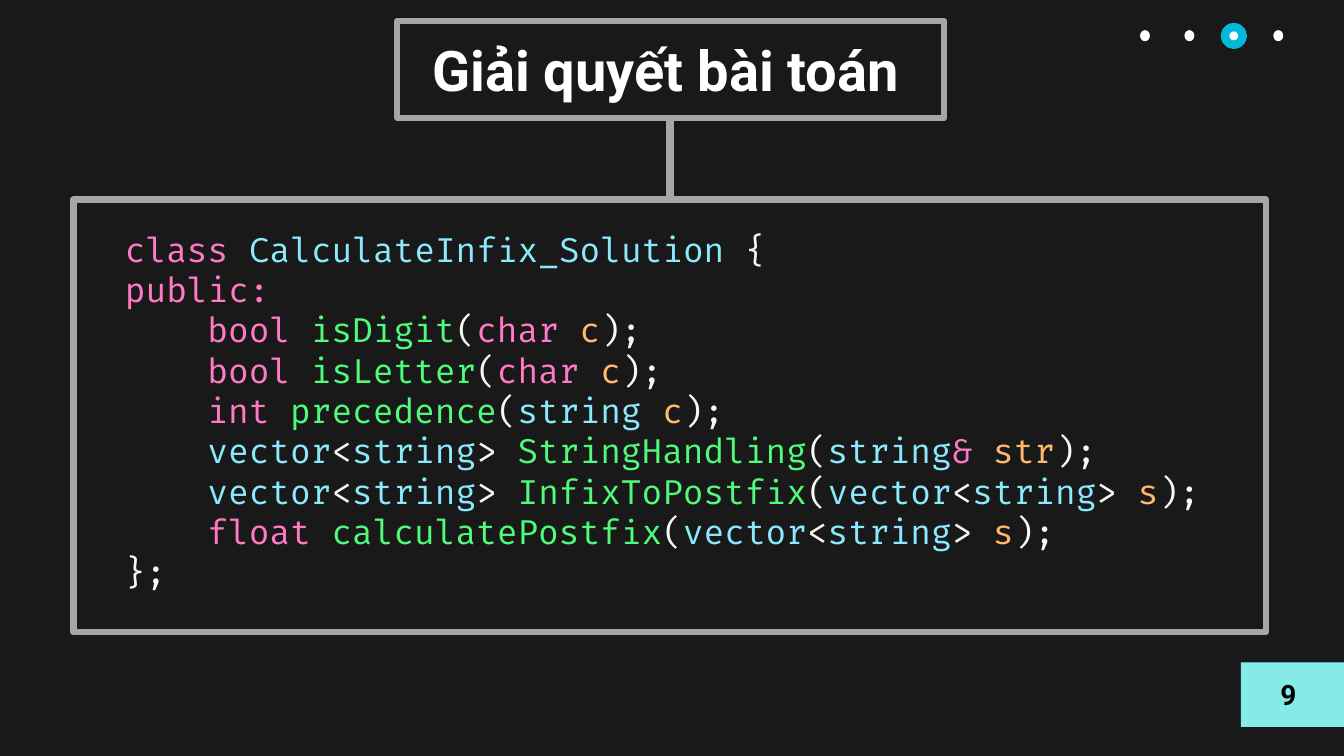
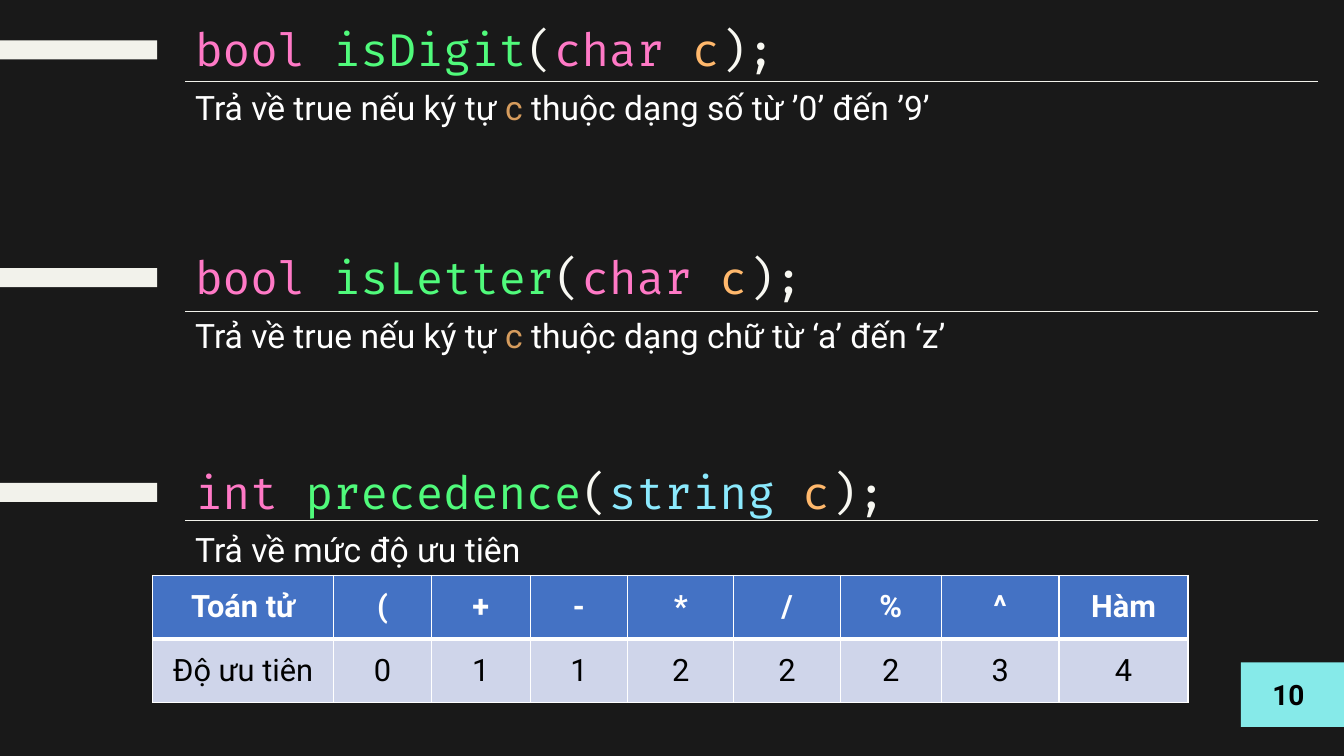
"""Build two dark slides that present the methods of an infix calculator class."""
from lxml import etree
from pptx import Presentation
from pptx.dml.color import RGBColor
from pptx.enum.shapes import MSO_CONNECTOR, MSO_SHAPE
from pptx.enum.text import MSO_ANCHOR, MSO_AUTO_SIZE, PP_ALIGN
from pptx.oxml.ns import qn
from pptx.util import Cm, Pt

RECTANGLE, OVAL, STRAIGHT = MSO_SHAPE.RECTANGLE, MSO_SHAPE.OVAL, MSO_CONNECTOR.STRAIGHT
TOP, MIDDLE = MSO_ANCHOR.TOP, MSO_ANCHOR.MIDDLE
LEFT, CENTER = PP_ALIGN.LEFT, PP_ALIGN.CENTER
NO_AUTOFIT = MSO_AUTO_SIZE.NONE
TITLE_ONLY, BLANK = 5, 6

COLORS = {
    "background": "191919", "white": "FFFFFF", "black": "000000",
    "frame": "A6A6A6", "ring": "01B9D9", "badge": "86EAE9", "bar": "F2F2EB",
    "keyword": "FF79C6", "type": "8BE9FD", "function": "50FA7B",
    "parameter": "FFB86C", "plain": "F8F8F2", "mention": "D69C5D",
    "header": "4472C4", "body": "CFD5EA",
}
STYLES = {
    "title": {"name": "Roboto", "size": Pt(40), "bold": True},
    "code": {"name": "Fira Code", "size": Pt(24), "bold": False},
    "signature": {"name": "Fira Code", "size": Pt(32), "bold": False},
    "description": {"name": "Roboto", "size": Pt(24), "bold": False},
    "page": {"name": "Roboto", "size": Pt(20), "bold": True},
    "header": {"name": "Roboto", "size": Pt(22), "bold": True},
    "body": {"name": "Roboto", "size": Pt(22), "bold": False},
}
CELL_FORMAT = {
    "vertical_anchor": MIDDLE, "margin_left": Cm(0.3), "margin_right": Cm(0.3),
    "margin_top": Cm(0.15), "margin_bottom": Cm(0.15),
}


def method(returns, name, arguments):
    """Return the coloured runs of one method declaration."""
    return [*returns, (name, "function"), ("(", "plain"), *arguments, (");", "plain")]


VECTOR = [("vector", "type"), ("<", "plain"), ("string", "type"), ("> ", "plain")]
CHAR_C = [("char ", "keyword"), ("c", "parameter")]
VECTOR_S = [*VECTOR, ("s", "parameter")]
IS_DIGIT = method([("bool ", "keyword")], "isDigit", CHAR_C)
IS_LETTER = method([("bool ", "keyword")], "isLetter", CHAR_C)
PRECEDENCE = method([("int ", "keyword")], "precedence",
                    [("string ", "type"), ("c", "parameter")])
METHODS = [
    IS_DIGIT,
    IS_LETTER,
    PRECEDENCE,
    method(VECTOR, "StringHandling",
           [("string", "type"), ("& ", "keyword"), ("str", "parameter")]),
    method(VECTOR, "InfixToPostfix", VECTOR_S),
    method([("float ", "keyword")], "calculatePostfix", VECTOR_S),
]
CLASS_OPENING = [
    [("class ", "keyword"), ("CalculateInfix_Solution ", "type"), ("{", "plain")],
    [("public:", "keyword")],
]
CLASS_CLOSING = [[("};", "plain")]]

TITLE = "Giải quyết bài toán"
DOT_COUNT, CURRENT_DOT = 4, 2
RETURNS_TRUE = [("Trả về true nếu ký tự ", "white"), ("c ", "mention")]
SECTIONS = [
    {"top": 0.43, "rule": 2.06, "signature": IS_DIGIT,
     "description": [*RETURNS_TRUE, ("thuộc dạng số từ ’0’ đến ’9’", "white")]},
    {"top": 6.17, "rule": 7.85, "signature": IS_LETTER,
     "description": [*RETURNS_TRUE, ("thuộc dạng chữ từ ‘a’ đến ‘z’", "white")]},
    {"top": 11.58, "rule": 13.11, "signature": PRECEDENCE,
     "description": [("Trả về mức độ ưu tiên", "white")]},
]
PRIORITIES = [
    ("Toán tử", "(", "+", "-", "*", "/", "%", "^", "Hàm"),
    ("Độ ưu tiên", "0", "1", "1", "2", "2", "2", "3", "4"),
]
PRIORITY_WIDTHS = [4.57, 2.46, 2.49, 2.46, 2.67, 2.69, 2.54, 2.97, 3.25]
PRIORITY_ROW = 1.6
PRIORITY_ROLES = [("header", "white", 3), ("body", "black", 1)]


def rgb(role):
    """Return the colour of a role."""
    return RGBColor.from_string(COLORS[role])


def apply(target, values):
    """Set every attribute in values on the target."""
    for attribute, value in values.items():
        setattr(target, attribute, value)


def write(paragraph, runs, style, align=LEFT):
    """Write coloured runs into a paragraph."""
    paragraph.alignment = align
    for text, role in runs:
        run = paragraph.add_run()
        run.text = text
        apply(run.font, STYLES[style])
        run.font.color.rgb = rgb(role)


def add_text(slide, box, lines, style):
    """Add a wrapped text box with one paragraph per line and return its frame."""
    frame = slide.shapes.add_textbox(*map(Cm, box)).text_frame
    frame.word_wrap = True
    for index, runs in enumerate(lines):
        paragraph = frame.add_paragraph() if index else frame.paragraphs[0]
        write(paragraph, runs, style)
    return frame


def add_block(slide, kind, box, fill=None, outline=None, weight=0):
    """Add a flat preset shape with an optional fill and outline."""
    block = slide.shapes.add_shape(kind, *map(Cm, box))
    block.shadow.inherit = False
    if fill:
        block.fill.solid()
        block.fill.fore_color.rgb = rgb(fill)
    else:
        block.fill.background()
    if outline:
        block.line.color.rgb = rgb(outline)
        block.line.width = Pt(weight)
    else:
        block.line.fill.background()
    return block


def add_line(slide, ends, role, weight):
    """Add a straight line without a shadow."""
    line = slide.shapes.add_connector(STRAIGHT, *map(Cm, ends))
    line.line.color.rgb = rgb(role)
    line.line.width = Pt(weight)
    etree.SubElement(line._element.spPr, qn("a:effectLst"))


def add_page_number(slide, number):
    """Add the page badge at the right edge."""
    frame = add_block(slide, RECTANGLE, (31.27, 16.69, 2.6, 1.63), "badge").text_frame
    apply(frame, {"margin_left": 0, "margin_right": Cm(0.2), "vertical_anchor": MIDDLE})
    write(frame.paragraphs[0], [(str(number), "black")], "page", CENTER)


def add_border(cell, edge, weight):
    """Add a white border to one edge of a cell."""
    properties = cell._tc.get_or_add_tcPr()
    border = etree.SubElement(properties, qn(f"a:ln{edge}"), w=str(Pt(weight)))
    fill = etree.SubElement(border, qn("a:solidFill"))
    etree.SubElement(fill, qn("a:srgbClr"), val=COLORS["white"])


def add_priorities(slide):
    """Add the table of operator priorities."""
    size = (sum(PRIORITY_WIDTHS), PRIORITY_ROW * len(PRIORITIES))
    table = slide.shapes.add_table(
        len(PRIORITIES), len(PRIORITY_WIDTHS), *map(Cm, (3.84, 14.5, *size))).table
    for column, width in zip(table.columns, PRIORITY_WIDTHS):
        column.width = Cm(width)
    top_weight = 1
    for row, texts, (role, ink, bottom_weight) in zip(table.rows, PRIORITIES, PRIORITY_ROLES):
        row.height = Cm(PRIORITY_ROW)
        for cell, text in zip(row.cells, texts):
            apply(cell, CELL_FORMAT)
            for edge, weight in zip("LRTB", (1, 1, top_weight, bottom_weight)):
                add_border(cell, edge, weight)
            cell.fill.solid()
            cell.fill.fore_color.rgb = rgb(role)
            write(cell.text_frame.paragraphs[0], [(text, ink)], role, CENTER)
        top_weight = bottom_weight


def build_class_slide(prs):
    """Build the slide with the class declaration."""
    slide = prs.slides.add_slide(prs.slide_layouts[TITLE_ONLY])
    title = slide.shapes.title
    apply(title, dict(zip(("left", "top", "width", "height"),
                          map(Cm, (10.64, 0.76, 12.6, 1.96)))))
    apply(title.text_frame, {"vertical_anchor": TOP, "auto_size": NO_AUTOFIT})
    write(title.text_frame.paragraphs[0], [(TITLE, "white")], "title")

    code = add_text(slide, (2.9, 5.64, 28.09, 9.5),
                    CLASS_OPENING + METHODS + CLASS_CLOSING, "code")
    first = len(CLASS_OPENING)
    for paragraph in code.paragraphs[first:first + len(METHODS)]:
        paragraph._p.get_or_add_pPr().set("marL", str(Cm(2.08)))

    for box in ((1.85, 5.03, 30.05, 10.9), (10.01, 0.53, 13.79, 2.44)):
        add_block(slide, RECTANGLE, box, outline="frame", weight=4.5)
    add_line(slide, (16.89, 2.97, 16.89, 5.03), "frame", 6)

    for index in range(DOT_COUNT):
        left = 28.73 + 1.12 * index
        add_block(slide, OVAL, (left, 0.76, 0.25, 0.28), "white")
        if index == CURRENT_DOT:
            add_block(slide, OVAL, (left - 0.1, 0.68, 0.45, 0.45), outline="ring", weight=6)
    add_page_number(slide, 9)


def build_methods_slide(prs):
    """Build the slide that explains the first three methods."""
    slide = prs.slides.add_slide(prs.slide_layouts[BLANK])
    for section in SECTIONS:
        top, rule = section["top"], section["rule"]
        add_block(slide, RECTANGLE, (0, top + 0.59, 3.96, 0.48), "bar")
        add_text(slide, (4.67, top, 28.55, 1.62), [section["signature"]], "signature")
        add_text(slide, (4.67, top + 1.63, 28.55, 1.28), [section["description"]], "description")
        add_line(slide, (4.67, rule, 33.22, rule), "bar", 0.5)
    add_page_number(slide, 10)
    add_priorities(slide)


def main():
    """Build and save the presentation."""
    prs = Presentation()
    prs.slide_width, prs.slide_height = Cm(33.87), Cm(19.05)
    backdrop = prs.slide_master.background.fill
    backdrop.solid()
    backdrop.fore_color.rgb = rgb("background")
    build_class_slide(prs)
    build_methods_slide(prs)
    prs.save("out.pptx")


if __name__ == "__main__":
    main()
